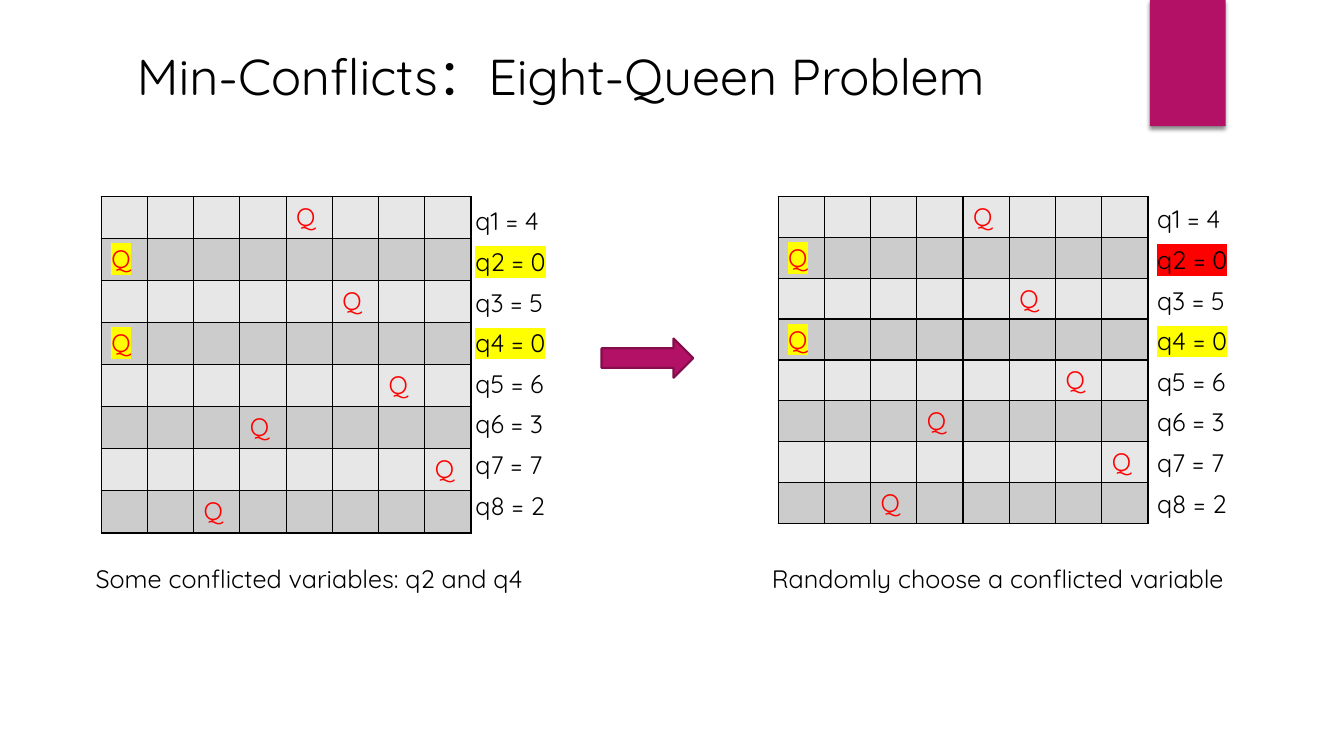
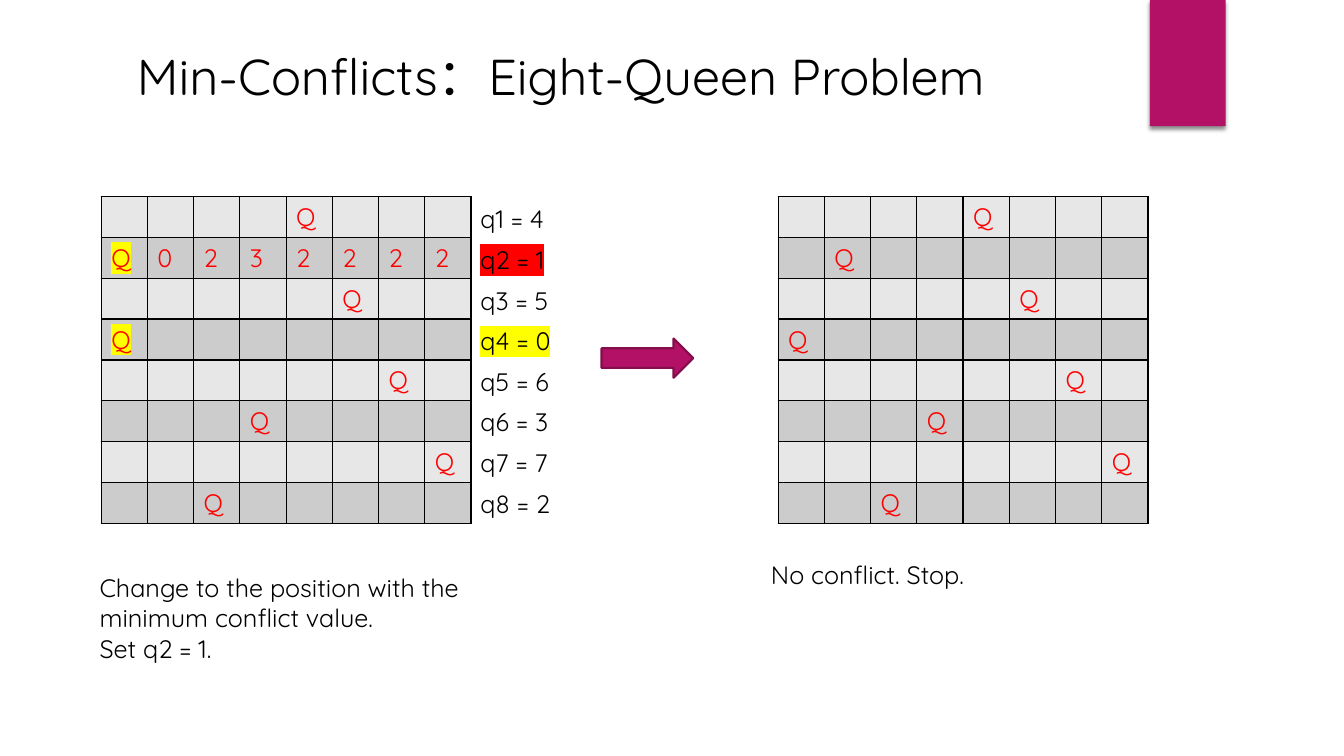
from lxml.etree import SubElement as Sub
from pptx import Presentation
from pptx.dml.color import RGBColor
from pptx.enum.shapes import MSO_SHAPE as Form
from pptx.enum.text import MSO_ANCHOR as Anchor
from pptx.oxml import parse_xml
from pptx.oxml.ns import nsdecls, qn
from pptx.util import Cm, Pt

SIZE = 8
START = [4, 0, 5, 0, 6, 3, 7, 2]
SOLVED = [4, 1, 5, 0, 6, 3, 7, 2]
COUNTS = "0232222"
YELLOW, RED, BLACK = "FFFF00", "FF0000", "000000"
CLASH = {1: YELLOW, 3: YELLOW}
CHOSEN = {1: RED, 3: YELLOW}
LEFT, RIGHT = 2.55, 19.61


def tint(code):
    return RGBColor.from_string(code)


def write(para, text, size=18, color=BLACK, mark=None, font="Quicksand"):
    run = para.add_run()
    run.text = text
    run.font.size = Pt(size)
    run.font.name = font
    run.font.color.rgb = tint(color)
    if mark:
        fill = run.font._element.find(qn("a:solidFill"))
        fill.addnext(parse_xml(
            f'<a:highlight {nsdecls("a")}><a:srgbClr val="{mark}"/></a:highlight>'))


def edge(cell):
    props = cell._tc.get_or_add_tcPr()
    for spot, side in enumerate("LRTB"):
        props.insert(spot, parse_xml(
            f'<a:ln{side} {nsdecls("a")} w="12700"><a:solidFill>'
            f'<a:srgbClr val="{BLACK}"/></a:solidFill></a:ln{side}>'))


class Deck:
    pink, rim = "B31166", "840D4B"
    shades = ("E7E7E7", "CCCCCC")

    def __init__(self):
        self.show = Presentation()
        self.show.slide_width = Cm(33.87)
        self.show.slide_height = Cm(19.05)

    def page(self, title):
        self.slide = self.show.slides.add_slide(self.show.slide_layouts[6])
        band = self.shape(Form.RECTANGLE, 28.98, 0, 1.91, 3.18)
        shade = Sub(band._element.spPr.find(qn("a:effectLst")), qn("a:outerShdw"),
                    blurRad="38100", dist="25400", dir="5400000", rotWithShape="0")
        ink = Sub(shade, qn("a:srgbClr"), val=BLACK)
        Sub(ink, qn("a:alpha"), val="45000")
        self.text([title], 3.2, 0.91, 24.33, 1.96, Anchor.MIDDLE, size=36)

    def shape(self, form, x, y, w, h, line=None):
        item = self.slide.shapes.add_shape(form, Cm(x), Cm(y), Cm(w), Cm(h))
        item.shadow.inherit = False
        item.fill.solid()
        item.fill.fore_color.rgb = tint(self.pink)
        if line:
            item.line.color.rgb = tint(line)
            item.line.width = Pt(1.5)
        else:
            item.line.fill.background()
        return item

    def arrow(self):
        self.shape(Form.RIGHT_ARROW, 15.16, 8.53, 2.31, 0.99, self.rim)

    def text(self, lines, x, y, w, h=1.02, anchor=Anchor.TOP, gap=None,
             marks={}, **style):
        frame = self.slide.shapes.add_textbox(Cm(x), Cm(y), Cm(w), Cm(h)).text_frame
        frame.word_wrap = True
        frame.vertical_anchor = anchor
        for row, line in enumerate(lines):
            para = frame.add_paragraph() if row else frame.paragraphs[0]
            if gap:
                para.line_spacing = Pt(gap)
            write(para, line, mark=marks.get(row), **style)

    def labels(self, queens, marks, x, y=4.75):
        lines = [f"q{row} = {col}" for row, col in enumerate(queens, 1)]
        self.text(lines, x, y, 2.41, 8.41, gap=29, marks=marks)

    def board(self, queens, x, marks={}, counts={}, tall=1.03):
        table = self.slide.shapes.add_table(
            SIZE, SIZE, Cm(x), Cm(4.95), Cm(9.32), Cm(tall * SIZE)).table
        for row, queen in enumerate(queens):
            for col in range(SIZE):
                cell = table.cell(row, col)
                cell.margin_top, cell.margin_bottom = Cm(0.12), Cm(0.1)
                cell.fill.solid()
                cell.fill.fore_color.rgb = tint(self.shades[row % 2])
                edge(cell)
                para = cell.text_frame.paragraphs[0]
                if col == queen:
                    write(para, "Q", color=RED, mark=marks.get(row))
                elif (row, col) in counts:
                    write(para, counts[row, col], color=RED)


def main():
    deck = Deck()
    title = "Min-Conflicts：Eight-Queen Problem"

    deck.page(title)
    deck.board(START, LEFT, CLASH, tall=1.06)
    deck.labels(START, CLASH, 11.73, 4.8)
    deck.text(["Some conflicted variables: q2 and q4"], 2.16, 14.07, 16.94)
    deck.arrow()
    deck.board(START, RIGHT, CLASH)
    deck.labels(START, CHOSEN, 28.91)
    deck.text(["Randomly choose a conflicted variable"], 19.2, 14.07, 12.83)

    deck.page(title)
    counts = {(1, col): count for col, count in enumerate(COUNTS, 1)}
    deck.board(START, LEFT, CLASH, counts)
    deck.labels(SOLVED, CHOSEN, 11.86)
    deck.text(["Change to the position with the minimum conflict value.",
               "Set q2 = 1."], 2.26, 14.3, 11.4, 2.57)
    deck.arrow()
    deck.board(SOLVED, RIGHT)
    deck.text(["No conflict. Stop."], 19.18, 13.97, 11.4)

    deck.show.save("out.pptx")


if __name__ == "__main__":
    main()
